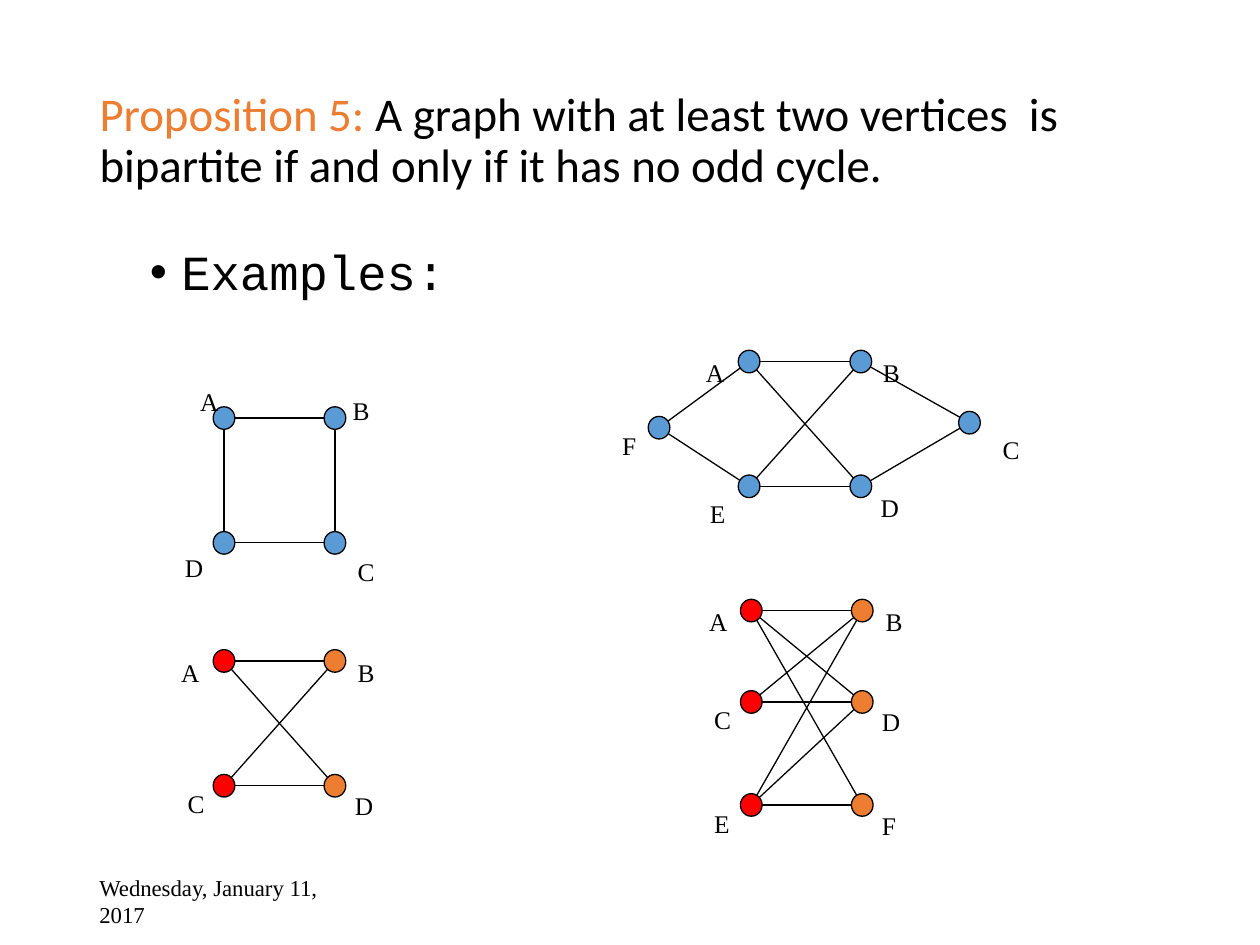
import dataclasses

import pptx
import pptx.dml.color
import pptx.enum.shapes
import pptx.enum.text
import pptx.oxml.ns
import pptx.util
from lxml import etree


@dataclasses.dataclass(frozen=True)
class Theme:
    """Colours, typefaces and sizes of the slide."""
    ink: str = "000000"
    blue: str = "5B9BD5"
    red: str = "FF0000"
    orange: str = "ED7D31"
    heading_font: str = "Calibri"
    example_font: str = "Courier New"
    label_font: str = "Times New Roman"
    heading_size: float = 26.8
    example_size: float = 28
    label_size: float = 25.1
    date_size: float = 13
    edge_width: float = 0.75
    node_size: tuple = (12.4, 12.9)
    label_box: tuple = (28.8, 27.4)


THEME = Theme()
Pt = pptx.util.Pt
ANCHOR = pptx.enum.text.MSO_ANCHOR


def rgb(value):
    """Return the colour object for a hex value."""
    return pptx.dml.color.RGBColor.from_string(value)


def points(*lengths):
    """Return the lengths as points."""
    return [Pt(length) for length in lengths]


def write(holder, *pieces, font, size, anchor=ANCHOR.TOP, spacing=None, bullet=None,
          baseline=None, grow=False):
    """Write (text, colour) pieces as one paragraph with the given format."""
    frame = holder.text_frame
    frame.word_wrap = True
    fit = pptx.enum.text.MSO_AUTO_SIZE
    frame.auto_size = fit.SHAPE_TO_FIT_TEXT if grow else fit.NONE
    frame.vertical_anchor = anchor
    paragraph = frame.paragraphs[0]
    if bullet:
        properties = paragraph._p.get_or_add_pPr()
        properties.set("marL", str(Pt(18)))
        properties.set("indent", str(-Pt(18)))
        for tag, key, value in (("a:buFont", "typeface", "Arial"), ("a:buChar", "char", bullet)):
            etree.SubElement(properties, pptx.oxml.ns.qn(tag)).set(key, value)
    paragraph.space_before = Pt(0)
    if spacing:
        paragraph.line_spacing = spacing
    for text, colour in pieces:
        run = paragraph.add_run()
        run.text = text
        run.font.name = font
        run.font.size = Pt(size)
        run.font.color.rgb = rgb(colour)
        if baseline:
            run._r.get_or_add_rPr().set("baseline", str(baseline * 1000))


def place_title(slide, box):
    """State the proposition in the title placeholder."""
    title = slide.shapes.title
    title.left, title.top, title.width, title.height = points(*box)
    write(title, ("Proposition 5: ", THEME.orange),
          ("A graph with at least two vertices  is bipartite if and only if it has no odd cycle.",
           THEME.ink),
          font=THEME.heading_font, size=THEME.heading_size, anchor=ANCHOR.MIDDLE, spacing=0.9)
    title.text_frame.paragraphs[0].alignment = pptx.enum.text.PP_ALIGN.LEFT


def place_examples_heading(slide, box):
    """Introduce the example graphs."""
    heading = slide.shapes.add_textbox(*points(*box))
    write(heading, ("Examples:", THEME.ink), font=THEME.example_font,
          size=THEME.example_size, spacing=0.9, bullet="•")


def place_date(slide, box):
    """Put the date at the foot of the slide."""
    date = slide.shapes.add_textbox(*points(*box))
    write(date, ("Wednesday, January 11, 2017", THEME.ink), font=THEME.label_font,
          size=THEME.date_size, anchor=ANCHOR.MIDDLE)


def draw_edge(slide, start, end):
    """Join two vertex centres."""
    edge = slide.shapes.add_connector(
        pptx.enum.shapes.MSO_CONNECTOR.STRAIGHT, *points(*start, *end))
    edge.line.color.rgb = rgb(THEME.ink)
    edge.line.width = Pt(THEME.edge_width)
    etree.SubElement(edge._element.spPr, pptx.oxml.ns.qn("a:effectLst"))


def draw_vertex(slide, name, centre, colour, offset):
    """Draw a vertex at its centre and its letter at an offset."""
    (x, y), (width, height), (dx, dy) = centre, THEME.node_size, offset
    vertex = slide.shapes.add_shape(
        pptx.enum.shapes.MSO_SHAPE.OVAL,
        *points(x - width / 2, y - height / 2, width, height))
    vertex.shadow.inherit = False
    vertex.fill.solid()
    vertex.fill.fore_color.rgb = rgb(colour)
    vertex.line.color.rgb = rgb(THEME.ink)
    vertex.line.width = Pt(THEME.edge_width)
    letter = slide.shapes.add_textbox(*points(x + dx, y + dy, *THEME.label_box))
    write(letter, (name, THEME.ink), font=THEME.label_font, size=THEME.label_size,
          baseline=-16, grow=True)


def place_graph(slide, box, vertices, edges):
    """Draw a graph whose vertex centres are fractions of the box."""
    left, top, width, height = box
    centres = {name: (left + across * width, top + down * height)
               for name, (across, down, _, _) in vertices.items()}
    for first, second in edges.split():
        draw_edge(slide, centres[first], centres[second])
    for name, (_, _, colour, offset) in vertices.items():
        draw_vertex(slide, name, centres[name], colour, offset)


def main():
    """Build the slide and save it."""
    deck = pptx.Presentation()
    deck.slide_width, deck.slide_height = points(720, 540)
    slide = deck.slides.add_slide(deck.slide_layouts.get_by_name("Title Only"))
    blue, red, orange = THEME.blue, THEME.red, THEME.orange

    place_title(slide, (49.7, 28.8, 620.6, 104.4))
    place_examples_heading(slide, (78.5, 138.2, 563, 39.6))
    place_graph(slide, (128, 238.9, 63.4, 71.3), {
        "A": (0, 0, blue, (-20.7, -36.6)),
        "B": (1, 0, blue, (3, -31.5)),
        "C": (1, 1, blue, (5.9, -10.7)),
        "D": (0, 1, blue, (-29.4, -12.8)),
    }, "AB BC CD DA")
    place_graph(slide, (128, 377.7, 63.4, 71.3), {
        "A": (0, 0, red, (-31.5, -20.6)),
        "B": (1, 0, orange, (5.9, -20.6)),
        "C": (0, 1, red, (-27.9, -17)),
        "D": (1, 1, orange, (4.4, -15.6)),
    }, "AB CD AD CB")
    place_graph(slide, (376.6, 206.6, 177.4, 71.3), {
        "A": (0.29, 0, blue, (-31.7, -20.8)),
        "B": (0.65, 0, blue, (5.6, -20.8)),
        "C": (1, 0.49, blue, (11.9, -11.8)),
        "D": (0.65, 1, blue, (4.2, -15)),
        "E": (0.29, 1, blue, (-29.5, -11.4)),
        "F": (0, 0.53, blue, (-28.1, -16.5)),
    }, "AB BC CD DE EF FA AD BE")
    place_graph(slide, (429.3, 348.9, 63.4, 111.1), {
        "A": (0, 0, red, (-31.1, -20.6)),
        "B": (1, 0, orange, (6.3, -20.6)),
        "C": (0, 0.47, red, (-28.3, -17.2)),
        "D": (1, 0.47, orange, (4.1, -15.8)),
        "E": (0, 1, red, (-28.3, -16.5)),
        "F": (1, 1, orange, (4.1, -15)),
    }, "AB AD AF CB CD EB ED EF")
    place_date(slide, (49.7, 500.4, 162, 28.8))
    deck.save("out.pptx")


if __name__ == "__main__":
    main()
